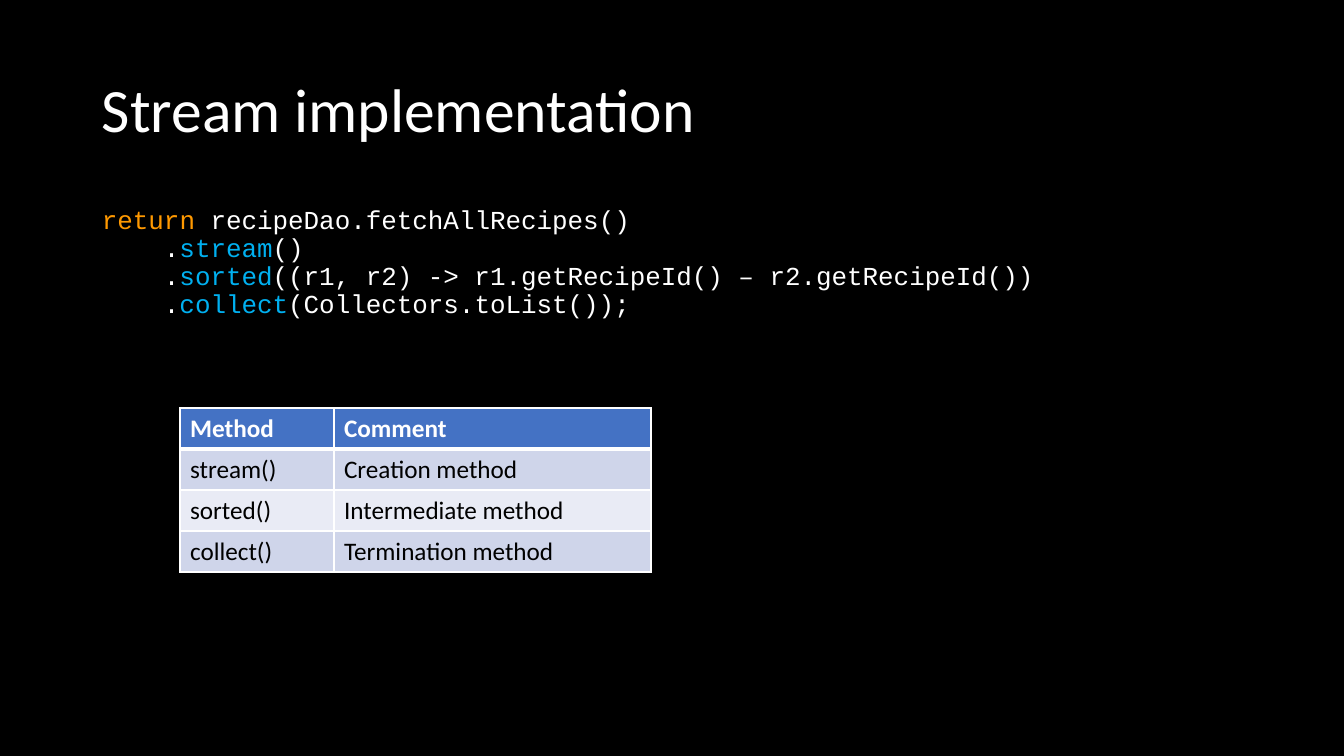
"""Build the slide on the stream implementation: title, code and method table."""
from dataclasses import dataclass

from lxml.etree import SubElement
from pptx import Presentation
from pptx.dml.color import RGBColor
from pptx.enum.text import MSO_ANCHOR
from pptx.oxml.ns import qn
from pptx.util import Pt

TITLE = "Stream implementation"
CODE = [
    [("return ", "keyword"), ("recipeDao.fetchAllRecipes()", "light")],
    [("    .", "light"), ("stream", "method"), ("()", "light")],
    [("    .", "light"), ("sorted", "method"),
     ("((r1, r2) -> r1.getRecipeId() – r2.getRecipeId())", "light")],
    [("    .", "light"), ("collect", "method"), ("(Collectors.toList());", "light")],
]
METHODS = [
    ("Method", "Comment"),
    ("stream()", "Creation method"),
    ("sorted()", "Intermediate method"),
    ("collect()", "Termination method"),
]

SLIDE_SIZE = (1344, 756)
TITLE_BOX = (92, 40, 1159, 146)
CODE_BOX = (92, 202, 991, 146)
TABLE_ORIGIN = (180, 408)
COLUMN_WIDTHS = (154, 317)
ROW_HEIGHT = 41


@dataclass(frozen=True)
class Theme:
    background: str = "000000"
    light: str = "FFFFFF"
    dark: str = "000000"
    keyword: str = "FF9900"
    method: str = "00B0F0"
    header: str = "4472C4"
    bands: tuple = ("CFD5EA", "E9EBF5")
    text_font: str = "Calibri"
    code_font: str = "Courier New"
    title_size: float = 44
    code_size: float = 18.5
    table_size: float = 18
    thin_border: int = 1
    thick_border: int = 3


THEME = Theme()


def px(length):
    return round(length * 914400 / 100.8)


def write(frame, lines, *, size, font, bold=False, spacing=None, anchor=MSO_ANCHOR.TOP):
    frame.word_wrap = True
    frame.vertical_anchor = anchor
    for index, line in enumerate(lines):
        paragraph = frame.add_paragraph() if index else frame.paragraphs[0]
        if spacing:
            paragraph.line_spacing = spacing
        for words, role in line:
            run = paragraph.add_run()
            run.text = words
            run.font.size = Pt(size)
            run.font.name = font
            run.font.bold = bold
            run.font.color.rgb = RGBColor.from_string(getattr(THEME, role))


def add_text(slide, box, lines, **style):
    frame = slide.shapes.add_textbox(*map(px, box)).text_frame
    write(frame, lines, spacing=0.9, **style)


def set_borders(cell, **widths):
    properties = cell._tc.get_or_add_tcPr()
    for side in "LRTB":
        width = widths.get(side, THEME.thin_border)
        border = SubElement(properties, qn(f"a:ln{side}"), w=str(Pt(width)))
        paint = SubElement(border, qn("a:solidFill"))
        SubElement(paint, qn("a:srgbClr"), val=THEME.light)


def add_method_table(slide):
    size = (sum(COLUMN_WIDTHS), ROW_HEIGHT * len(METHODS))
    table = slide.shapes.add_table(
        len(METHODS), len(COLUMN_WIDTHS), *map(px, TABLE_ORIGIN + size)).table
    for column, width in zip(table.columns, COLUMN_WIDTHS):
        column.width = px(width)
    for row, entries in enumerate(METHODS):
        table.rows[row].height = px(ROW_HEIGHT)
        is_header = row == 0
        fill = THEME.header if is_header else THEME.bands[(row - 1) % 2]
        heavy = {0: "B", 1: "T"}.get(row)
        for column, entry in enumerate(entries):
            cell = table.cell(row, column)
            set_borders(cell, **({heavy: THEME.thick_border} if heavy else {}))
            cell.fill.solid()
            cell.fill.fore_color.rgb = RGBColor.from_string(fill)
            write(cell.text_frame, [[(entry, "light" if is_header else "dark")]],
                  size=THEME.table_size, font=THEME.text_font, bold=is_header)


def main():
    deck = Presentation()
    deck.slide_width, deck.slide_height = map(px, SLIDE_SIZE)
    slide = deck.slides.add_slide(deck.slide_layouts[6])
    slide.background.fill.solid()
    slide.background.fill.fore_color.rgb = RGBColor.from_string(THEME.background)
    add_text(slide, TITLE_BOX, [[(TITLE, "light")]], size=THEME.title_size,
             font=THEME.text_font, anchor=MSO_ANCHOR.MIDDLE)
    add_text(slide, CODE_BOX, CODE, size=THEME.code_size, font=THEME.code_font)
    add_method_table(slide)
    deck.save("out.pptx")


if __name__ == "__main__":
    main()
